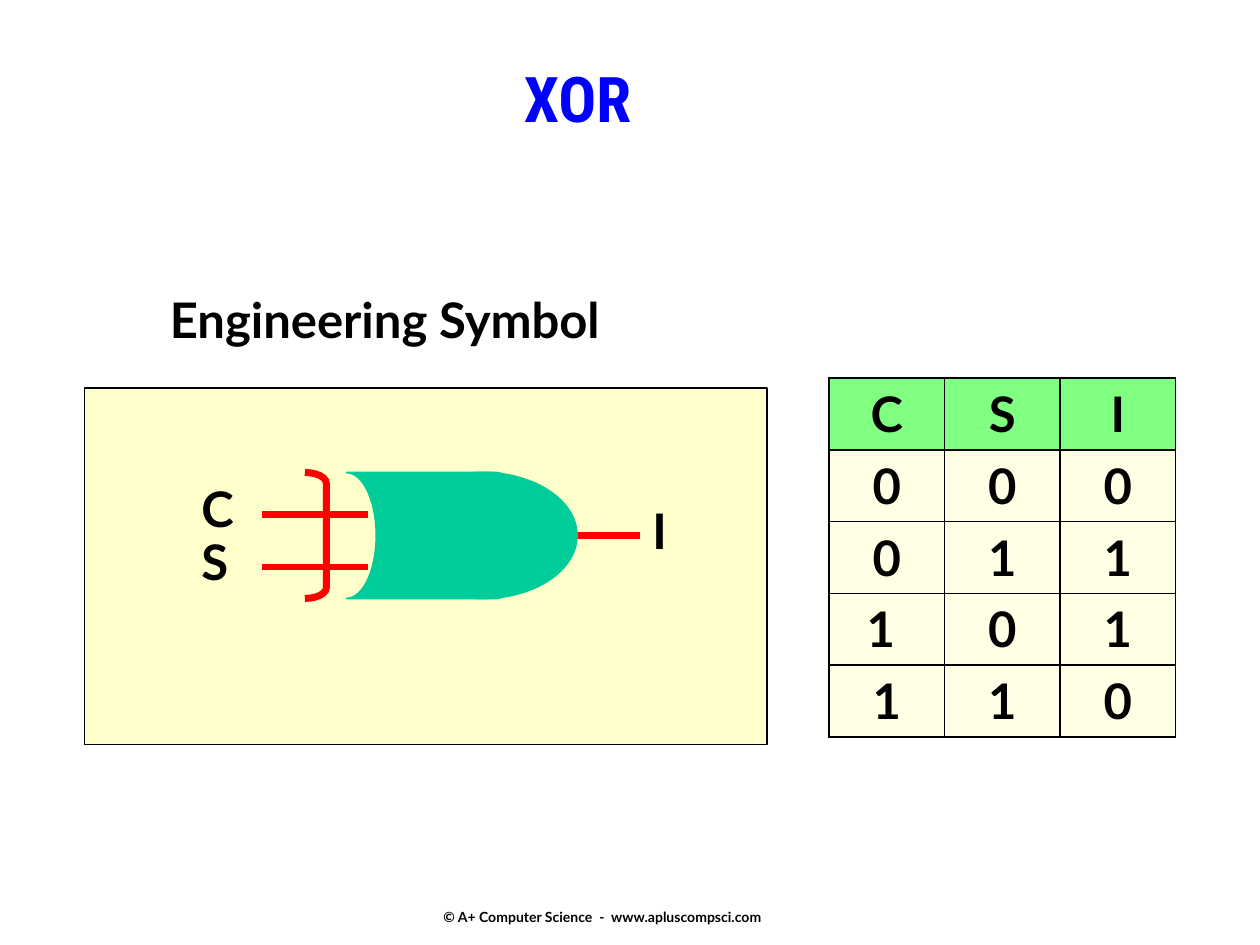
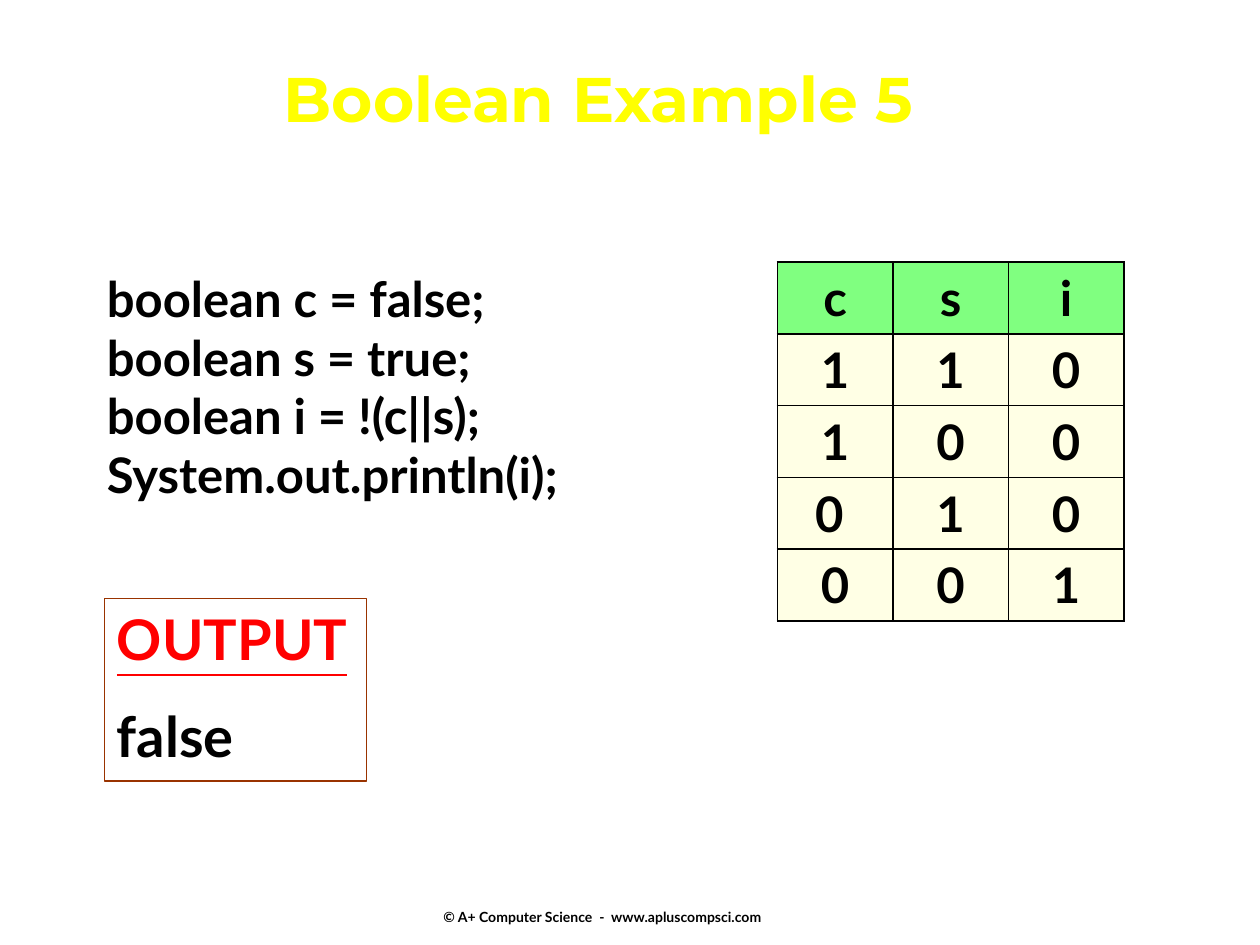
"""Build two slides on Boolean logic: the XOR gate and a worked example."""
from dataclasses import dataclass

from lxml import etree
from pptx import Presentation
from pptx.dml.color import RGBColor
from pptx.enum import shapes, text
from pptx.oxml import ns
from pptx.util import Inches, Pt


@dataclass(frozen=True)
class Theme:
    """Colours, fonts and type sizes shared by the slides."""
    black: str = "000000"
    blue: str = "0000FF"
    yellow: str = "FFFF00"
    red: str = "FF0000"
    gate: str = "00CC99"
    panel: str = "FFFFCC"
    header: str = "80FF80"
    cell: str = "FFFFE5"
    frame: str = "993300"
    font: str = "Lato"
    title_size: int = 36
    output_size: int = 32
    body_size: int = 28
    footer_size: int = 8
    thin: int = 1
    wire: int = 4


THEME = Theme()
FOOTER = "© A+ Computer Science  -  www.apluscompsci.com"
FOOTER_AREA = (3.42, 7.03, 3.17, 0.5)
COLUMN_WIDTH, ROW_HEIGHT = 2.75 / 3, 0.57

XOR_TITLE = ("XOR", (1.92, 0.42, 5.33, 1.17), "Roboto Condensed", THEME.blue)
XOR_TABLE = ["C", "S", "I"], ["0", "0", "0"], ["0", "1", "1"], ["1 ", "0", "1"], ["1", "1", "0"]
XOR_LABELS = [
    ("Engineering Symbol", (1.25, 2.25, 4.1, 0.57)),
    ("C", (1.5, 3.75, 0.46, 0.57)),
    ("S", (1.5, 4.17, 0.45, 0.57)),
    ("I", (5.08, 3.92, 0.39, 0.57)),
]
PANEL_AREA = (0.67, 3.08, 5.42, 2.83)
WIRES = [(2.08, 2.92, 4.08), (2.08, 2.92, 4.5), (4.33, 5.08, 4.25)]
GATE_BACK = (2.75, 3.75, 1.42, 1)
GATE_FRONT = (3.08, 3.75, 1.5, 1)
GATE_BRACKET = (2.42, 3.75, 0.17, 1)

EXAMPLE_TITLE = ("Boolean Example 5", (1, 0.42, 7.5, 1.08), "Montserrat", THEME.yellow)
EXAMPLE_TABLE = ["c", "s", "i"], ["1", "1", "0"], ["1", "0", "0"], ["0 ", "1", "0"], ["0", "0", "1"]
CODE = ["boolean c = false;", "boolean s = true;", "boolean i = !(c||s);", "System.out.println(i);"]
CODE_AREA = (0.75, 2.08, 8.42, 2.44)
OUTPUT_AREA = (0.83, 4.75, 2.08, 1.45)
OUTPUT = "OUTPUT", "false"


def inches(*lengths):
    return [Inches(length) for length in lengths]


def color(value):
    return RGBColor.from_string(value)


def add_span(para, words, size=THEME.body_size, ink=THEME.black, font=THEME.font):
    span = para.add_run()
    span.text = words
    span.font.name, span.font.size, span.font.bold = font, Pt(size), True
    span.font.color.rgb = color(ink)
    return span


def write_lines(frame, lines, **style):
    """Write one left-aligned paragraph per line and return the runs."""
    frame.word_wrap = True
    frame.vertical_anchor = text.MSO_ANCHOR.TOP
    spans = []
    for index, line in enumerate(lines):
        para = frame.add_paragraph() if index else frame.paragraphs[0]
        para.alignment = text.PP_ALIGN.LEFT
        spans.append(add_span(para, line, **style))
    return spans


def add_text(page, lines, area, **style):
    box = page.shapes.add_textbox(*inches(*area))
    write_lines(box.text_frame, lines, **style)
    return box


def add_figure(page, kind, area, fill, line, width=THEME.thin):
    figure = page.shapes.add_shape(kind, *inches(*area))
    figure.shadow.inherit = False
    if fill:
        figure.fill.solid()
        figure.fill.fore_color.rgb = color(fill)
    else:
        figure.fill.background()
    figure.line.color.rgb = color(line)
    figure.line.width = Pt(width)
    return figure


def add_wire(page, left, right, height):
    wire = page.shapes.add_connector(
        shapes.MSO_CONNECTOR.STRAIGHT, *inches(left, height, right, height))
    wire.line.color.rgb = color(THEME.red)
    wire.line.width = Pt(THEME.wire)
    etree.SubElement(wire._element.spPr, ns.qn("a:effectLst"))


def add_borders(cell):
    properties = cell._tc.get_or_add_tcPr()
    for side in ("lnL", "lnR", "lnT", "lnB"):
        border = etree.SubElement(properties, ns.qn(f"a:{side}"), w=str(Pt(THEME.thin)))
        fill = etree.SubElement(border, ns.qn("a:solidFill"))
        etree.SubElement(fill, ns.qn("a:srgbClr"), val=THEME.black)


def add_truth_table(page, rows, left, top):
    size = inches(COLUMN_WIDTH * len(rows[0]), ROW_HEIGHT * len(rows))
    table = page.shapes.add_table(len(rows), len(rows[0]), *inches(left, top), *size).table
    table.first_row = table.horz_banding = False
    for row_index, row in enumerate(rows):
        for column_index, value in enumerate(row):
            cell = table.cell(row_index, column_index)
            add_borders(cell)
            cell.fill.solid()
            cell.fill.fore_color.rgb = color(THEME.cell if row_index else THEME.header)
            para = cell.text_frame.paragraphs[0]
            para.alignment = text.PP_ALIGN.CENTER
            add_span(para, value)


def add_page(deck, words, area, font, ink):
    """Add a slide with its title and the shared footer."""
    page = deck.slides.add_slide(deck.slide_layouts[5])
    title = page.shapes.title
    title.left, title.top, title.width, title.height = inches(*area)
    frame = title.text_frame
    frame.auto_size = text.MSO_AUTO_SIZE.NONE
    frame.vertical_anchor = text.MSO_ANCHOR.TOP
    frame.paragraphs[0].alignment = text.PP_ALIGN.CENTER
    add_span(frame.paragraphs[0], words, THEME.title_size, ink, font)
    footer = add_text(page, [FOOTER], FOOTER_AREA, size=THEME.footer_size)
    footer.text_frame.vertical_anchor = text.MSO_ANCHOR.MIDDLE
    return page


def build_xor(deck):
    kinds = shapes.MSO_SHAPE
    page = add_page(deck, *XOR_TITLE)
    add_truth_table(page, XOR_TABLE, 6.58, 3)
    add_figure(page, kinds.RECTANGLE, PANEL_AREA, THEME.panel, THEME.black)
    for wire in WIRES:
        add_wire(page, *wire)
    for label, area in XOR_LABELS:
        add_text(page, [label], area)
    back = add_figure(page, kinds.FLOWCHART_STORED_DATA, GATE_BACK, THEME.gate, THEME.gate)
    back.rotation = 180
    add_figure(page, kinds.OVAL, GATE_FRONT, THEME.gate, THEME.gate)
    bracket = add_figure(page, kinds.RIGHT_BRACKET, GATE_BRACKET, None, THEME.red, THEME.wire)
    bracket.adjustments[0] = 0.5


def build_example(deck):
    page = add_page(deck, *EXAMPLE_TITLE)
    add_text(page, CODE, CODE_AREA)
    box = add_figure(page, shapes.MSO_SHAPE.RECTANGLE, OUTPUT_AREA, None, THEME.frame)
    heading, _ = write_lines(box.text_frame, OUTPUT, size=THEME.output_size)
    heading.font.underline = True
    heading.font.color.rgb = color(THEME.red)
    box.text_frame.paragraphs[1].space_before = Pt(17)
    add_truth_table(page, EXAMPLE_TABLE, 6.17, 2.08)


def main():
    deck = Presentation()
    deck.slide_width, deck.slide_height = inches(10, 7.5)
    build_xor(deck)
    build_example(deck)
    deck.save("out.pptx")


if __name__ == "__main__":
    main()
